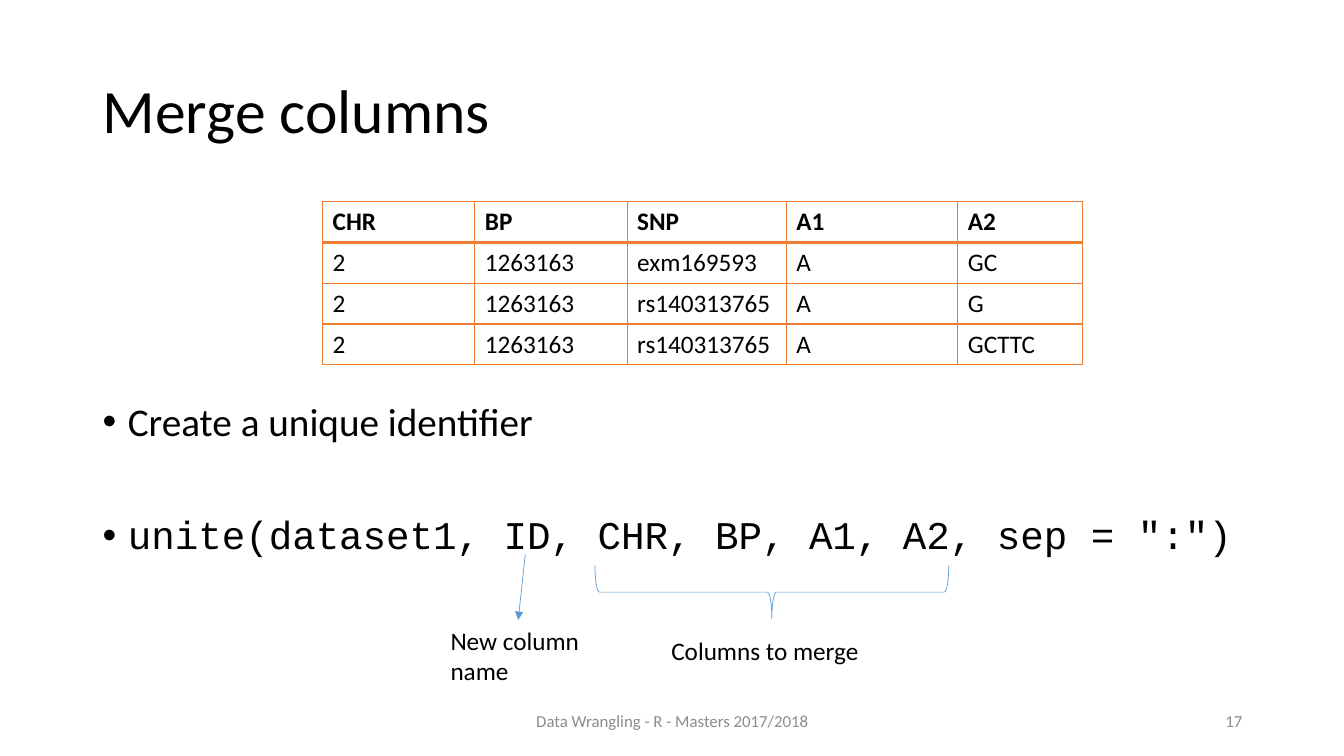
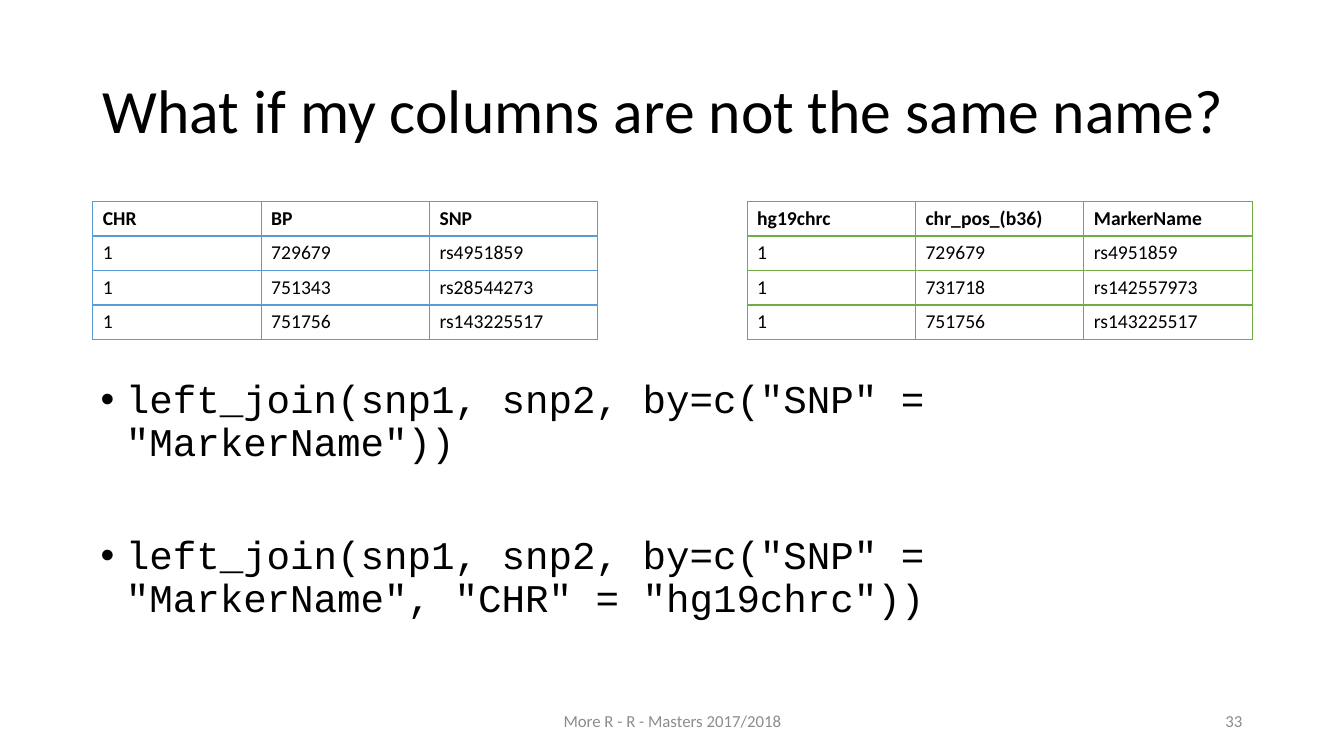
import pptx
import pptx.util
import pptx.dml.color
import pptx.enum.shapes
import pptx.enum.text
import pptx.oxml.ns
import lxml.etree

PX = 9144  # 100 px to the inch
HUES = {"text": "000000", "foot": "8C8C8C", "page": "FFFFFF",
        "blue": "5B9BD5", "green": "70AD47", "orange": "ED7D31"}
SANS, CODE = "Calibri", "Courier New"
ALIGN = pptx.enum.text.PP_ALIGN
ANCHOR = pptx.enum.text.MSO_ANCHOR
PAD = 25  # bullet indent
GAP = 51  # points between bullets


def px(*nums):
    return [pptx.util.Emu(round(num * PX)) for num in nums]


def hue(name):
    return pptx.dml.color.RGBColor.from_string(HUES[name])


def add_xml(node, tag, **attrs):
    return lxml.etree.SubElement(node, pptx.oxml.ns.qn(tag), attrs)


def style(para, size, face=SANS, tone="text", bold=False):
    for run in para.runs:
        font = run.font
        font.size, font.name, font.bold = pptx.util.Pt(size), face, bold
        font.color.rgb = hue(tone)


def add_text(slide, box, text, size, tone="text", side=ALIGN.LEFT,
             anchor=ANCHOR.TOP, space=None):
    shape = slide.shapes.add_textbox(*px(*box))
    frame = shape.text_frame
    frame.word_wrap, frame.vertical_anchor = True, anchor
    frame.text = text
    para = frame.paragraphs[0]
    para.alignment, para.line_spacing = side, space
    style(para, size, tone=tone)
    return shape


# Title, footer and page number
def add_page(deck, title, foot, num):
    slide = deck.slides.add_slide(deck.slide_layouts[6])
    slide.background.fill.solid()
    slide.background.fill.fore_color.rgb = hue("page")
    add_text(slide, (92, 40, 1150, 145), title, 44,
             anchor=ANCHOR.MIDDLE, space=0.9)
    for box, text, side in (((442, 695, 450, 40), foot, ALIGN.CENTER),
                            ((942, 695, 300, 40), num, ALIGN.RIGHT)):
        add_text(slide, box, text, 12, "foot", side, ANCHOR.MIDDLE)
    return slide


# Bullet list of (text, font) pairs
def add_list(slide, box, items):
    frame = slide.shapes.add_textbox(*px(*box)).text_frame
    frame.word_wrap = True
    for i, (text, face) in enumerate(items):
        para = frame.add_paragraph() if i else frame.paragraphs[0]
        para.text = text
        props = para._p.get_or_add_pPr()
        props.set("marL", str(PAD * PX))
        props.set("indent", str(-PAD * PX))
        add_xml(props, "a:buFont", typeface="Arial")
        add_xml(props, "a:buChar", char="•")
        para.line_spacing = 0.9
        if i:
            para.space_before = pptx.util.Pt(GAP)
        style(para, 28, face)


# Cell borders, heavier below the header
def add_edges(cell, tone, tops):
    props = cell._tc.get_or_add_tcPr()
    for tag in ("a:lnL", "a:lnR", "a:lnT", "a:lnB"):
        wide = 2 if tag in tops else 1
        edge = add_xml(props, tag, w=str(wide * 12700))
        add_xml(add_xml(edge, "a:solidFill"), "a:srgbClr", val=HUES[tone])


def add_grid(slide, left, top, cols, high, rows, size, tone):
    box = px(left, top, sum(cols), high * len(rows))
    grid = slide.shapes.add_table(len(rows), len(cols), *box).table
    grid.horz_banding = False
    for col, wide in zip(grid.columns, px(*cols)):
        col.width = wide
    for i, row in enumerate(rows):
        grid.rows[i].height = px(high)[0]
        for j, text in enumerate(row):
            cell = grid.cell(i, j)
            cell.text = text
            style(cell.text_frame.paragraphs[0], size, bold=i == 0)
            add_edges(cell, tone, {0: ("a:lnB",), 1: ("a:lnT",)}.get(i, ()))
            cell.fill.background()


# Brace that opens upward over the given box
def add_brace(slide, left, top, wide, high):
    shift = (wide - high) / 2
    brace = slide.shapes.add_shape(
        pptx.enum.shapes.MSO_SHAPE.RIGHT_BRACE,
        *px(left + shift, top - shift, high, wide))
    brace.rotation = 90
    brace.shadow.inherit = False
    brace.fill.background()
    brace.line.color.rgb = hue("blue")
    brace.line.width = pptx.util.Pt(0.5)


# Arrow from a point to the top of a label
def add_arrow(slide, x, y, label):
    line = slide.shapes.add_connector(
        pptx.enum.shapes.MSO_CONNECTOR.STRAIGHT, *px(x, y, x, y))
    line.end_connect(label, 0)
    line.line.color.rgb = hue("blue")
    line.line.width = pptx.util.Pt(0.5)
    add_xml(line.line._get_or_add_ln(), "a:tailEnd", type="triangle")
    add_xml(line._element.spPr, "a:effectLst")


def merge_page(deck):
    slide = add_page(deck, "Merge columns",
                     "Data Wrangling - R - Masters 2017/2018", "17")
    add_list(slide, (92, 394, 1150, 281), [
        ("Create a unique identifier", SANS),
        ('unite(dataset1, ID, CHR, BP, A1, A2, sep = ":")', CODE)])
    add_grid(slide, 320, 200, (151, 151, 158, 170, 124), 40.5, [
        ("CHR", "BP", "SNP", "A1", "A2"),
        ("2", "1263163", "exm169593", "A", "GC"),
        ("2", "1263163", "rs140313765", "A", "G"),
        ("2", "1263163", "rs140313765", "A", "GCTTC")], 18, "orange")
    add_brace(slide, 590, 561, 351, 53)
    add_text(slide, (656, 625, 221, 40), "Columns to merge", 18)
    label = add_text(slide, (437, 615, 154, 71), "New column name", 18)
    add_arrow(slide, 521, 550, label)


def join_page(deck):
    slide = add_page(deck, "What if my columns are not the same name?",
                     "More R - R - Masters 2017/2018", "33")
    add_list(slide, (90, 372, 1150, 304), [
        ('left_join(snp1, snp2, by=c("SNP" = "MarkerName"))', CODE),
        ('left_join(snp1, snp2, by=c("SNP" = "MarkerName", '
         '"CHR" = "hg19chrc"))', CODE)])
    left = [("CHR", "BP", "SNP"),
            ("1", "729679", "rs4951859"),
            ("1", "751343", "rs28544273"),
            ("1", "751756", "rs143225517")]
    right = [("hg19chrc", "chr_pos_(b36)", "MarkerName"),
             ("1", "729679", "rs4951859"),
             ("1", "731718", "rs142557973"),
             ("1", "751756", "rs143225517")]
    for x, rows, tone in ((92, left, "blue"), (741, right, "green")):
        add_grid(slide, x, 200, (167,) * 3, 34.25, rows, 14, tone)


def main():
    deck = pptx.Presentation()
    deck.slide_width, deck.slide_height = px(1333, 750)
    merge_page(deck)
    join_page(deck)
    deck.save("out.pptx")


if __name__ == "__main__":
    main()
